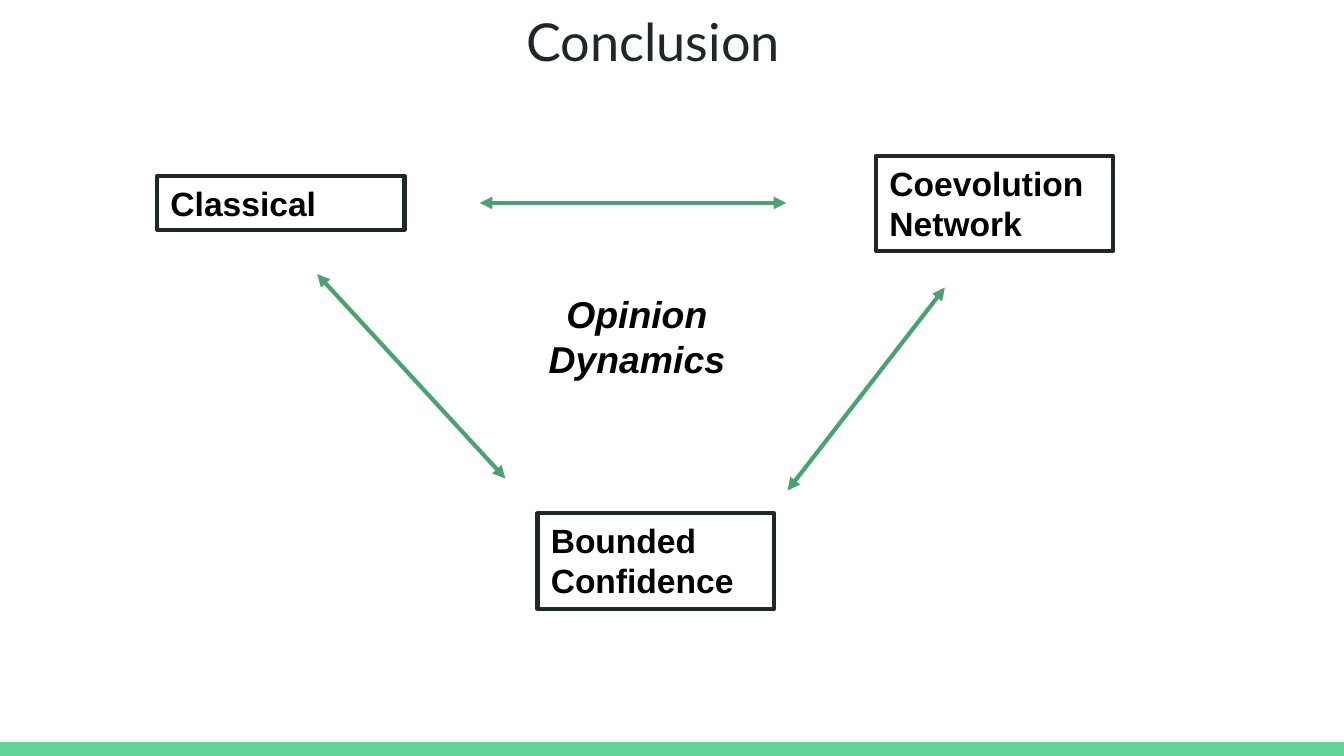
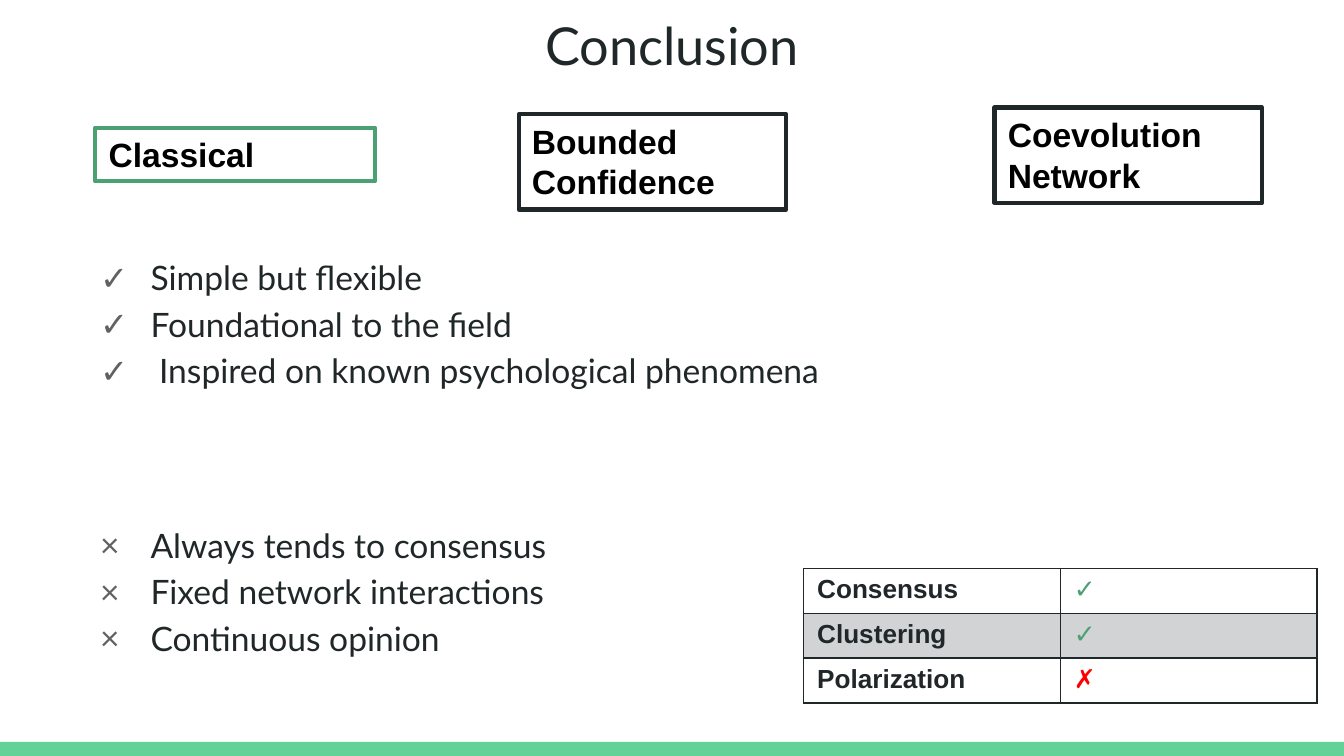
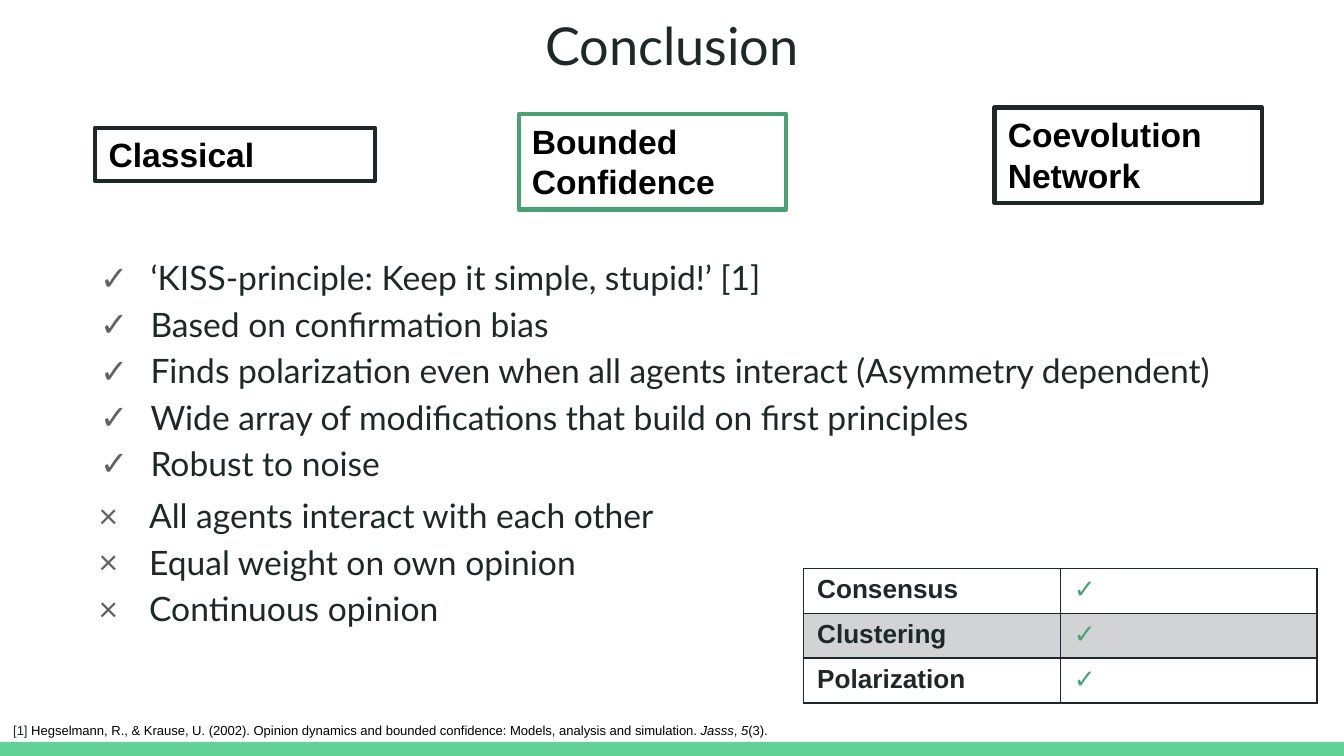
from dataclasses import dataclass
from typing import Optional

from lxml.etree import SubElement
from pptx import Presentation
from pptx.dml.color import RGBColor
from pptx.enum.shapes import MSO_CONNECTOR, MSO_SHAPE
from pptx.enum.text import MSO_ANCHOR, MSO_AUTO_SIZE, PP_ALIGN
from pptx.oxml.ns import qn
from pptx.util import Emu, Inches, Pt

WIDTH, HEIGHT = Inches(10), Inches(5.625)
UNIT = WIDTH / 100  # square grid, 100 columns across the slide


@dataclass(frozen=True)
class Theme:
    ink: str = "202729"
    black: str = "000000"
    green: str = "4BA173"
    band: str = "63D297"
    grey: str = "616161"
    red: str = "FF0000"
    sans: str = "Arial"
    lato: str = "Lato"
    title: float = 28
    hub: float = 20
    text: float = 18
    cell: float = 14
    note: float = 7
    stroke: float = 2.25
    rule: float = 1


THEME = Theme()


@dataclass(frozen=True)
class Area:
    """A place on the grid, in columns and rows."""
    col: float
    row: float
    wide: float
    high: float

    def emu(self) -> tuple[Emu, ...]:
        return tuple(grid(n) for n in (self.col, self.row, self.wide, self.high))


@dataclass(frozen=True)
class Style:
    size: float
    face: str = THEME.sans
    color: str = THEME.black
    bold: bool = False
    slant: bool = False


@dataclass(frozen=True)
class Model:
    name: str
    area: Area


@dataclass(frozen=True)
class Arrow:
    start: tuple[float, float]
    end: tuple[float, float]


@dataclass(frozen=True)
class Points:
    """A list whose lines share one bullet sign."""
    sign: str
    area: Area
    lines: tuple[str, ...]


@dataclass(frozen=True)
class Mark:
    sign: str = "✓"
    color: str = THEME.green
    bold: bool = False


@dataclass(frozen=True)
class Review:
    """One slide that weighs a single model."""
    model: str
    pros: Points
    cons: Points
    marks: tuple[Mark, ...]
    cite: Optional[tuple[tuple[str, Style], ...]] = None


TITLE = Style(THEME.title, THEME.lato, THEME.ink)
ITEM = Style(THEME.text, THEME.lato, THEME.ink)
LABEL = Style(THEME.text, bold=True)
HUB = Style(THEME.hub, bold=True, slant=True)
HEAD = Style(THEME.cell, color=THEME.ink, bold=True)
NOTE = Style(THEME.note)
NOTE_INK = Style(THEME.note, color=THEME.ink)
NOTE_SLANT = Style(THEME.note, slant=True)

BOUND, CLASSIC, NETWORK = "Bounded Confidence", "Classical", "Coevolution Network"
TRIAD = (
    Model(BOUND, Area(40, 38.2, 17.6, 7.1)),
    Model(CLASSIC, Area(11.7, 13.1, 18.4, 4)),
    Model(NETWORK, Area(65.2, 11.6, 17.6, 7.1)),
)
ARROWS = (
    Arrow((35.7, 15.1), (58.5, 15.1)),
    Arrow((23.6, 20.4), (37.6, 35.6)),
    Arrow((58.6, 36.5), (70.3, 21.4)),
)
TABS = (
    Model(BOUND, Area(38.6, 8.5, 19.9, 7.1)),
    Model(CLASSIC, Area(7.1, 9.5, 20.8, 4)),
    Model(NETWORK, Area(74, 8, 19.9, 7.1)),
)
TRAITS = ("Consensus", "Clustering", "Polarization")
TABLE = Area(59.8, 42.3, 38.2, 10)

REVIEWS = (
    Review(
        CLASSIC,
        Points("✓", Area(5.2, 17.7, 62.9, 15.5), (
            "Simple but flexible",
            "Foundational to the field",
            " Inspired on known psychological phenomena",
        )),
        Points("×", Area(5.2, 37.6, 62.9, 9.7), (
            "Always tends to consensus",
            "Fixed network interactions",
            "Continuous opinion",
        )),
        (Mark(bold=True), Mark(bold=True), Mark("✗", THEME.red)),
    ),
    Review(
        BOUND,
        Points("✓", Area(5.2, 17.7, 87.7, 15.5), (
            "‘KISS-principle: Keep it simple, stupid!’ [1]",
            "Based on confirmation bias",
            "Finds polarization even when all agents interact (Asymmetry dependent)",
            "Wide array of modifications that build on first principles",
            "Robust to noise",
        )),
        Points("×", Area(5.1, 35.4, 62.9, 12.4), (
            "All agents interact with each other",
            "Equal weight on own opinion",
            "Continuous opinion",
        )),
        (Mark(bold=True), Mark(), Mark()),
        (
            ("[1] ", NOTE_INK),
            ("Hegselmann, R., & Krause, U. (2002). Opinion dynamics and bounded "
             "confidence: Models, analysis and simulation. ", NOTE),
            ("Jasss", NOTE_SLANT),
            (", ", NOTE),
            ("5", NOTE_SLANT),
            ("(3).", NOTE),
        ),
    ),
)


def grid(count: float) -> Emu:
    return Emu(round(count * UNIT))


def rgb(color: str) -> RGBColor:
    return RGBColor.from_string(color)


def write(para, text: str, style: Style) -> None:
    run = para.add_run()
    run.text = text
    font = run.font
    font.size, font.name = Pt(style.size), style.face
    font.bold, font.italic = style.bold, style.slant
    font.color.rgb = rgb(style.color)


def place(shape, area: Area) -> None:
    shape.left, shape.top, shape.width, shape.height = area.emu()


def frame(shape, inset: float = 0.5, fit=MSO_AUTO_SIZE.SHAPE_TO_FIT_TEXT):
    """Set up a text frame and return its first paragraph."""
    text = shape.text_frame
    text.word_wrap, text.auto_size = True, fit
    text.vertical_anchor = MSO_ANCHOR.TOP
    text.margin_left = text.margin_right = grid(1)
    text.margin_top = text.margin_bottom = grid(inset)
    return text.paragraphs[0]


def stroke(line, color: str) -> None:
    line.color.rgb, line.width = rgb(color), Pt(THEME.stroke)
    SubElement(line._get_or_add_ln(), qn("a:round"))


def add_band(deck) -> None:
    """Put the foot band on the master, so that every slide shows it."""
    slide = deck.slides[0]
    area = Area(0, 55.2, 100, 1.05)
    band = slide.shapes.add_shape(MSO_SHAPE.RECTANGLE, *area.emu())
    band.shadow.inherit = False
    band.fill.solid()
    band.fill.fore_color.rgb = rgb(THEME.band)
    band.line.fill.background()
    deck.slide_master.shapes._spTree.append(band._element)


def add_slide(deck, layout: int, area: Area):
    slide = deck.slides.add_slide(deck.slide_layouts[layout])
    title = slide.shapes.title
    place(title, area)
    para = frame(title, 1, MSO_AUTO_SIZE.NONE)
    para.alignment = PP_ALIGN.CENTER
    write(para, "Conclusion", TITLE)
    return slide


def add_model(slide, model: Model, color: str) -> None:
    box = slide.shapes.add_shape(MSO_SHAPE.RECTANGLE, *model.area.emu())
    box.shadow.inherit = False
    box.fill.background()
    stroke(box.line, color)
    para = frame(box)
    para.alignment = PP_ALIGN.LEFT
    write(para, model.name, LABEL)


def add_arrow(slide, arrow: Arrow) -> None:
    ends = [grid(n) for n in arrow.start + arrow.end]
    link = slide.shapes.add_connector(MSO_CONNECTOR.STRAIGHT, *ends)
    stroke(link.line, THEME.green)
    for tag in ("a:headEnd", "a:tailEnd"):
        SubElement(link.line._get_or_add_ln(), qn(tag), type="triangle")
    SubElement(link._element.spPr, qn("a:effectLst"))


def add_note(slide, area: Area, runs, align=PP_ALIGN.LEFT) -> None:
    para = frame(slide.shapes.add_textbox(*area.emu()))
    para.alignment = align
    for text, style in runs:
        write(para, text, style)


def add_sign(para, sign: str) -> None:
    """Give a paragraph a hanging bullet."""
    props = para._p.get_or_add_pPr()
    props.set("marL", str(grid(5)))
    props.set("indent", str(-grid(3.75)))
    color = SubElement(props, qn("a:buClr"))
    SubElement(color, qn("a:srgbClr"), val=THEME.grey)
    SubElement(props, qn("a:buFont"), typeface=THEME.lato)
    SubElement(props, qn("a:buChar"), char=sign)


def fill_list(holder, points: Points) -> None:
    place(holder, points.area)
    para = frame(holder, 1, MSO_AUTO_SIZE.NONE)
    for i, line in enumerate(points.lines):
        if i:
            para = holder.text_frame.add_paragraph()
        add_sign(para, points.sign)
        para.line_spacing, para.space_before = 1.15, Pt(0)
        write(para, line, ITEM)


def edge(cell) -> None:
    props = cell._tc.get_or_add_tcPr()
    for i, side in enumerate(("lnL", "lnR", "lnT", "lnB")):
        line = props.makeelement(qn(f"a:{side}"), {"w": str(Pt(THEME.rule))})
        props.insert(i, line)
        fill = SubElement(line, qn("a:solidFill"))
        SubElement(fill, qn("a:srgbClr"), val=THEME.ink)


def tint(cell, shade: bool) -> None:
    if not shade:
        cell.fill.background()
        return
    cell.fill.solid()
    cell.fill.fore_color.rgb = rgb(THEME.ink)
    color = cell._tc.tcPr.find(f".//{qn('a:srgbClr')}")
    SubElement(color, qn("a:alpha"), val="20000")


def add_table(slide, marks: tuple[Mark, ...]) -> None:
    table = slide.shapes.add_table(len(TRAITS), 2, *TABLE.emu()).table
    table.first_row = table.horz_banding = False
    for i, (trait, mark) in enumerate(zip(TRAITS, marks)):
        sign = Style(THEME.cell, color=mark.color, bold=mark.bold)
        for j, (text, style) in enumerate(((trait, HEAD), (mark.sign, sign))):
            cell = table.cell(i, j)
            write(cell.text_frame.paragraphs[0], text, style)
            tint(cell, i % 2 == 1)
            edge(cell)


def add_triad(deck) -> None:
    slide = add_slide(deck, 5, Area(2, -0.3, 93.2, 6.3))
    for model in TRIAD:
        add_model(slide, model, THEME.ink)
    for arrow in ARROWS:
        add_arrow(slide, arrow)
    add_note(slide, Area(38.6, 21.2, 17.6, 7.7), (("Opinion Dynamics", HUB),), PP_ALIGN.CENTER)


def add_review(deck, review: Review) -> None:
    slide = add_slide(deck, 3, Area(3.4, 0, 93.2, 6.3))
    for model in TABS:
        add_model(slide, model, THEME.green if model.name == review.model else THEME.ink)
    fill_list(slide.placeholders[1], review.pros)
    fill_list(slide.placeholders[2], review.cons)
    add_table(slide, review.marks)
    if review.cite:
        add_note(slide, Area(0, 53.3, 64.7, 2.2), review.cite)


def main() -> None:
    deck = Presentation()
    deck.slide_width, deck.slide_height = WIDTH, HEIGHT
    add_triad(deck)
    add_band(deck)
    for review in REVIEWS:
        add_review(deck, review)
    deck.save("out.pptx")


if __name__ == "__main__":
    main()
